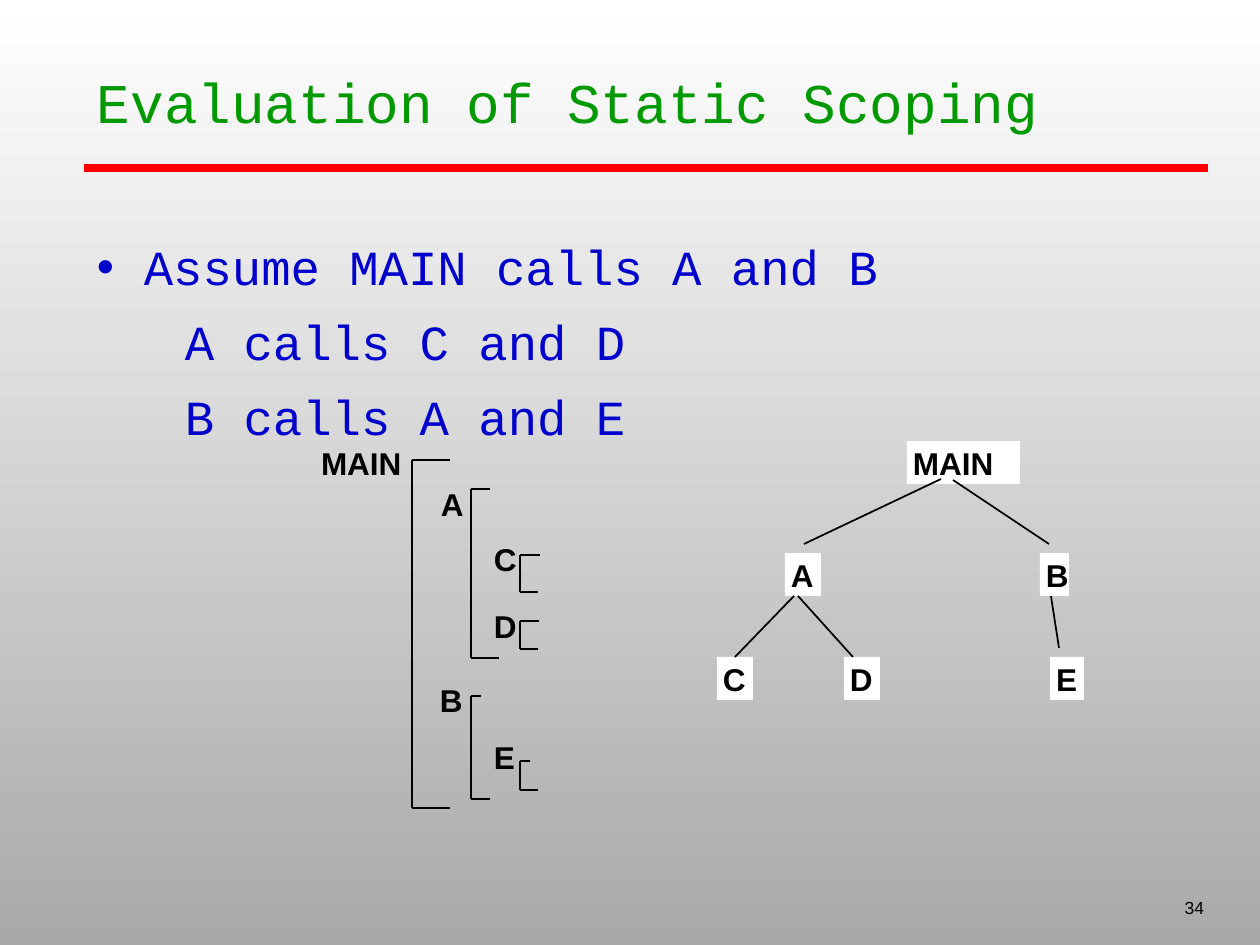
"""Build the static scoping slide with its nesting brackets and call tree."""
from dataclasses import dataclass
from typing import Optional

from lxml.etree import SubElement
from pptx import Presentation
from pptx.dml.color import RGBColor
from pptx.enum.shapes import MSO_CONNECTOR, MSO_SHAPE
from pptx.enum.text import MSO_ANCHOR, PP_ALIGN
from pptx.oxml.ns import qn
from pptx.util import Pt

PX_PER_INCH = 126


@dataclass(frozen=True)
class Theme:
    title: str = "009900"
    body: str = "0000CC"
    rule: str = "FF0000"
    ink: str = "000000"
    paper: str = "FFFFFF"
    shade: str = "A9A9A9"
    mono: str = "Courier New"
    sans: str = "Arial"
    title_size: int = 32
    body_size: int = 28
    label_size: int = 18
    number_size: int = 10
    body_gap: int = 9
    rule_width: float = 4.5
    line_width: float = 1


@dataclass(frozen=True)
class Label:
    text: str
    x: int
    y: int
    w: int
    h: int
    pad_x: int = 13
    pad_y: int = 6


@dataclass(frozen=True)
class Node:
    text: str
    x: int
    y: int
    w: int
    h: int = 43


@dataclass(frozen=True)
class Bracket:
    x: int
    top: int
    bottom: int
    top_end: int
    bottom_end: int


@dataclass(frozen=True)
class Edge:
    x1: int
    y1: int
    x2: int
    y2: int
    child: Optional[int] = None


THEME = Theme()
LABELS = [
    Label("MAIN", 315, 441, 107, 43, 6, 3),
    Label("A", 428, 479, 48, 50),
    Label("C", 481, 534, 48, 50),
    Label("D", 481, 601, 48, 50),
    Label("B", 427, 675, 48, 50),
    Label("E", 481, 732, 45, 50),
]
BRACKETS = [
    Bracket(412, 460, 808, 450, 450),
    Bracket(471, 489, 658, 490, 499),
    Bracket(520, 555, 592, 540, 538),
    Bracket(520, 621, 649, 539, 538),
    Bracket(471, 696, 799, 481, 490),
    Bracket(520, 761, 790, 530, 538),
]
NODES = [
    Node("MAIN", 907, 441, 113),
    Node("A", 785, 553, 36),
    Node("B", 1040, 553, 29),
    Node("C", 717, 657, 36),
    Node("D", 844, 657, 36),
    Node("E", 1050, 657, 34),
]
EDGES = [
    Edge(941, 479, 804, 544),
    Edge(953, 480, 1049, 544),
    Edge(794, 596, 735, 657, child=3),
    Edge(798, 596, 853, 657),
    Edge(1051, 596, 1059, 648),
]


def px(n: int) -> int:
    return round(n * 914400 / PX_PER_INCH)


def color(value: str) -> RGBColor:
    return RGBColor.from_string(value)


def write(sp, text: str, pad_x: int, pad_y: int, font: str, size: int,
          ink: str, bold: bool = False):
    tf = sp.text_frame
    tf.word_wrap = True
    tf.vertical_anchor = MSO_ANCHOR.TOP
    tf.margin_left = tf.margin_right = px(pad_x)
    tf.margin_top = tf.margin_bottom = px(pad_y)
    tf.text = text
    for p in tf.paragraphs:
        p.alignment = PP_ALIGN.LEFT
        for r in p.runs:
            r.font.name, r.font.size = font, Pt(size)
            r.font.bold = bold
            r.font.color.rgb = color(ink)
    return tf


def add_text(s, x: int, y: int, w: int, h: int, *style):
    sp = s.shapes.add_textbox(px(x), px(y), px(w), px(h))
    return write(sp, *style)


def add_line(s, x1: int, y1: int, x2: int, y2: int,
             ink: str = THEME.ink, width: float = THEME.line_width):
    line = s.shapes.add_connector(MSO_CONNECTOR.STRAIGHT, px(x1), px(y1), px(x2), px(y2))
    line.line.color.rgb = color(ink)
    line.line.width = Pt(width)
    SubElement(line._element.spPr, qn("a:effectLst"))
    return line


def add_label(s, label: Label) -> None:
    add_text(s, label.x, label.y, label.w, label.h, label.text,
             label.pad_x, label.pad_y, THEME.sans, THEME.label_size, THEME.ink, True)


def add_bracket(s, b: Bracket) -> None:
    add_line(s, b.x, b.top, b.top_end, b.top)
    add_line(s, b.x, b.top, b.x, b.bottom)
    add_line(s, b.x, b.bottom, b.bottom_end, b.bottom)


def add_node(s, node: Node):
    sp = s.shapes.add_shape(MSO_SHAPE.RECTANGLE, px(node.x), px(node.y), px(node.w), px(node.h))
    sp.shadow.inherit = False
    sp.fill.solid()
    sp.fill.fore_color.rgb = color(THEME.paper)
    sp.line.fill.background()
    write(sp, node.text, 6, 3, THEME.sans, THEME.label_size, THEME.ink, True)
    return sp


def add_body(s) -> None:
    text = "Assume MAIN calls A and B\nA calls C and D\nB calls A and E"
    tf = add_text(s, 84, 220, 1124, 630, text, 13, 6, THEME.mono, THEME.body_size, THEME.body)
    tf.margin_top = px(17)
    first, *rest = tf.paragraphs
    pPr = first._p.get_or_add_pPr()
    pPr.set("marL", str(px(47)))
    pPr.set("indent", str(-px(47)))
    SubElement(SubElement(pPr, qn("a:buClr")), qn("a:srgbClr")).set("val", THEME.body)
    SubElement(pPr, qn("a:buFont")).set("typeface", THEME.sans)
    SubElement(pPr, qn("a:buChar")).set("char", "•")
    for p in rest:
        p._p.get_or_add_pPr().set("marL", str(px(88)))
        p.space_before = Pt(THEME.body_gap)


def main() -> None:
    prs = Presentation()
    prs.slide_width, prs.slide_height = px(1260), px(945)
    s = prs.slides.add_slide(prs.slide_layouts[6])
    fill = s.background.fill
    fill.gradient()
    fill.gradient_angle = 270
    for stop, value in zip(fill.gradient_stops, (THEME.paper, THEME.shade)):
        stop.color.rgb = color(value)

    add_line(s, 84, 168, 1208, 168, THEME.rule, THEME.rule_width)
    title = add_text(s, 84, 53, 1124, 157, "Evaluation of Static Scoping",
                     13, 6, THEME.mono, THEME.title_size, THEME.title)
    title.margin_top = px(15)
    add_body(s)
    for bracket in BRACKETS:
        add_bracket(s, bracket)
    for label in LABELS:
        add_label(s, label)
    nodes = [add_node(s, node) for node in NODES]
    for edge in EDGES:
        line = add_line(s, edge.x1, edge.y1, edge.x2, edge.y2)
        if edge.child is not None:
            line.end_connect(nodes[edge.child], 0)
    number = add_text(s, 955, 861, 262, 63, "34", 13, 6,
                      THEME.sans, THEME.number_size, THEME.ink)
    number.vertical_anchor = MSO_ANCHOR.BOTTOM
    number.paragraphs[0].alignment = PP_ALIGN.RIGHT
    prs.save("out.pptx")


if __name__ == "__main__":
    main()
